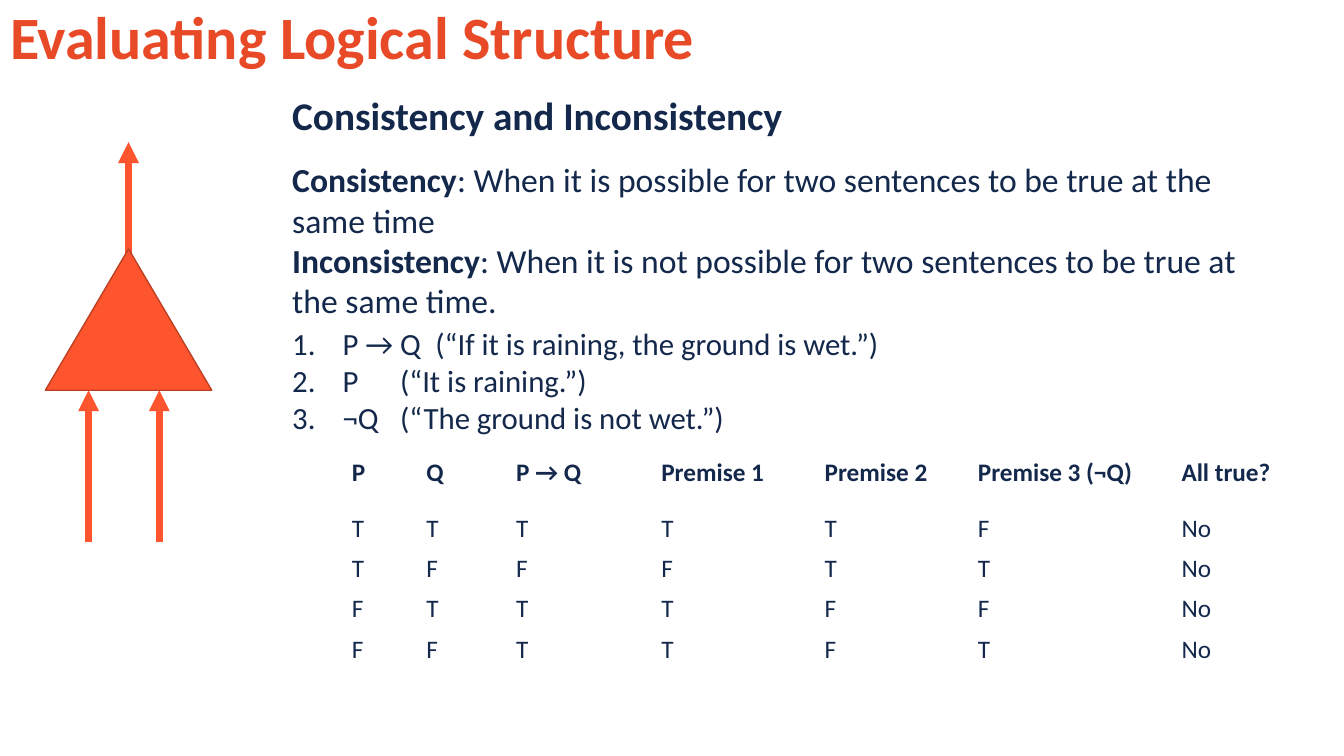
import pptx
import pptx.dml.color
import pptx.enum.shapes
import pptx.enum.text
import pptx.oxml.ns
import pptx.util
from lxml import etree

Inches, Pt = pptx.util.Inches, pptx.util.Pt
RGBColor = pptx.dml.color.RGBColor
ANCHOR = pptx.enum.text.MSO_ANCHOR
NAVY = RGBColor(0x13, 0x28, 0x4B)
TITLE_ORANGE = RGBColor(0xE8, 0x4A, 0x27)
ORANGE = RGBColor(0xFF, 0x55, 0x2E)
DARK_ORANGE = RGBColor(0xBD, 0x3F, 0x22)
FONT = "Calibri"

WIDTH, HEIGHT = 13.33, 7.5
TEXT_LEFT = 2.8

DEFINITIONS = [
    ("Consistency", ": When it is possible for two sentences to be true at the same time"),
    ("Inconsistency", ": When it is not possible for two sentences to be true at the same time."),
]
PREMISES = [
    "P → Q\t(“If it is raining, the ground is wet.”)",
    "P\t(“It is raining.”)",
    "¬Q\t(“The ground is not wet.”)",
]
LIST_INDENT = 0.5
TAB_STOPS = (1.07, 1.42)
TRUTH_TABLE = [
    ["P", "Q", "P → Q", "Premise 1", "Premise 2", "Premise 3 (¬Q)", "All true?"],
    ["T", "T", "T", "T", "T", "F", "No"],
    ["T", "F", "F", "F", "T", "T", "No"],
    ["F", "T", "T", "T", "F", "F", "No"],
    ["F", "F", "T", "T", "F", "T", "No"],
]
COLUMN_WIDTHS = [0.74, 0.89, 1.44, 1.62, 1.52, 2.02, 1.47]
HEADER_HEIGHT, ROW_HEIGHT = 0.7, 0.4


def add_element(parent, tag, **attributes):
    return etree.SubElement(parent, pptx.oxml.ns.qn(tag), attributes)


def style(font, size, color=NAVY, bold=False):
    font.name, font.size, font.bold = FONT, Pt(size), bold
    font.color.rgb = color


def add_title(page, box):
    title = page.shapes.title
    title.left, title.top, title.width, title.height = map(Inches, box)
    frame = title.text_frame
    frame.text = "Evaluating Logical Structure"
    frame.vertical_anchor = ANCHOR.MIDDLE
    frame.auto_size = pptx.enum.text.MSO_AUTO_SIZE.NONE
    para = frame.paragraphs[0]
    para.alignment = pptx.enum.text.PP_ALIGN.LEFT
    para.line_spacing = 0.9
    style(para.runs[0].font, 42.9, TITLE_ORANGE, True)


def add_text_frame(page, box):
    frame = page.shapes.add_textbox(*map(Inches, box)).text_frame
    frame.word_wrap = True
    frame.auto_size = pptx.enum.text.MSO_AUTO_SIZE.SHAPE_TO_FIT_TEXT
    return frame


def add_definitions(page, box):
    frame = add_text_frame(page, box)
    frame.text = "Consistency and Inconsistency"
    heading = frame.paragraphs[0]
    heading.space_after = Pt(14.6)
    style(heading.runs[0].font, 28, bold=True)
    for term, meaning in DEFINITIONS:
        para = frame.add_paragraph()
        for text, bold in ((term, True), (meaning, False)):
            span = para.add_run()
            span.text = text
            style(span.font, 24, bold=bold)


def add_premises(page, box):
    """Numbered premises, with their readings set on tab stops."""
    frame = add_text_frame(page, box)
    frame.text = "\n".join(PREMISES)
    for para in frame.paragraphs:
        properties = para._p.get_or_add_pPr()
        properties.set("marL", str(Inches(LIST_INDENT)))
        properties.set("indent", str(-Inches(LIST_INDENT)))
        add_element(properties, "a:buFont", typeface="+mj-lt")
        add_element(properties, "a:buAutoNum", type="arabicPeriod")
        tabs = add_element(properties, "a:tabLst")
        for stop in TAB_STOPS:
            add_element(tabs, "a:tab", pos=str(Inches(stop)), algn="l")
        for span in para.runs:
            style(span.font, 22)


def add_up_arrow(page, x, start, end):
    arrow = page.shapes.add_connector(
        pptx.enum.shapes.MSO_CONNECTOR.STRAIGHT, *map(Inches, (x, start, x, end)))
    arrow.line.color.rgb = ORANGE
    arrow.line.width = Pt(5)
    add_element(arrow.line._get_or_add_ln(), "a:tailEnd", type="triangle")
    add_element(arrow._element.spPr, "a:effectLst")


def add_argument_diagram(page, box):
    """Two premises lead up into a triangle, one conclusion leads out."""
    left, top, width, height = box
    apex, base = top + 0.267 * height, top + 0.62 * height
    for share in (0.26, 0.685):
        add_up_arrow(page, left + share * width, top + height, base)
    add_up_arrow(page, left + width / 2, top + 0.38 * height, top)
    triangle = page.shapes.add_shape(
        pptx.enum.shapes.MSO_SHAPE.ISOSCELES_TRIANGLE,
        *map(Inches, (left, apex, width, base - apex)))
    triangle.shadow.inherit = False
    triangle.fill.solid()
    triangle.fill.fore_color.rgb = ORANGE
    triangle.line.color.rgb = DARK_ORANGE
    triangle.line.width = Pt(1)


def add_truth_table(page, left, top):
    row_heights = [HEADER_HEIGHT] + [ROW_HEIGHT] * (len(TRUTH_TABLE) - 1)
    table = page.shapes.add_table(
        len(TRUTH_TABLE), len(COLUMN_WIDTHS),
        *map(Inches, (left, top, sum(COLUMN_WIDTHS), sum(row_heights)))).table
    table.first_row = table.horz_banding = False
    for column, width in zip(table.columns, COLUMN_WIDTHS):
        column.width = Inches(width)
    for index, (row, height) in enumerate(zip(table.rows, row_heights)):
        row.height = Inches(height)
        for cell, text in zip(row.cells, TRUTH_TABLE[index]):
            cell.fill.background()
            cell.vertical_anchor = ANCHOR.MIDDLE
            cell.text = text
            style(cell.text_frame.paragraphs[0].runs[0].font, 18, bold=index == 0)


def main():
    deck = pptx.Presentation()
    deck.slide_width, deck.slide_height = Inches(WIDTH), Inches(HEIGHT)
    page = deck.slides.add_slide(deck.slide_layouts.get_by_name("Title Only"))
    add_definitions(page, (TEXT_LEFT, 0.86, 10.08, 2.39))
    add_argument_diagram(page, (0.45, 1.41, 1.65, 3.97))
    add_premises(page, (TEXT_LEFT, 3.17, 7.1, 1.62))
    add_title(page, (0, 0, 12.56, 0.8))
    add_truth_table(page, 3.39, 4.34)
    deck.save("out.pptx")


if __name__ == "__main__":
    main()
